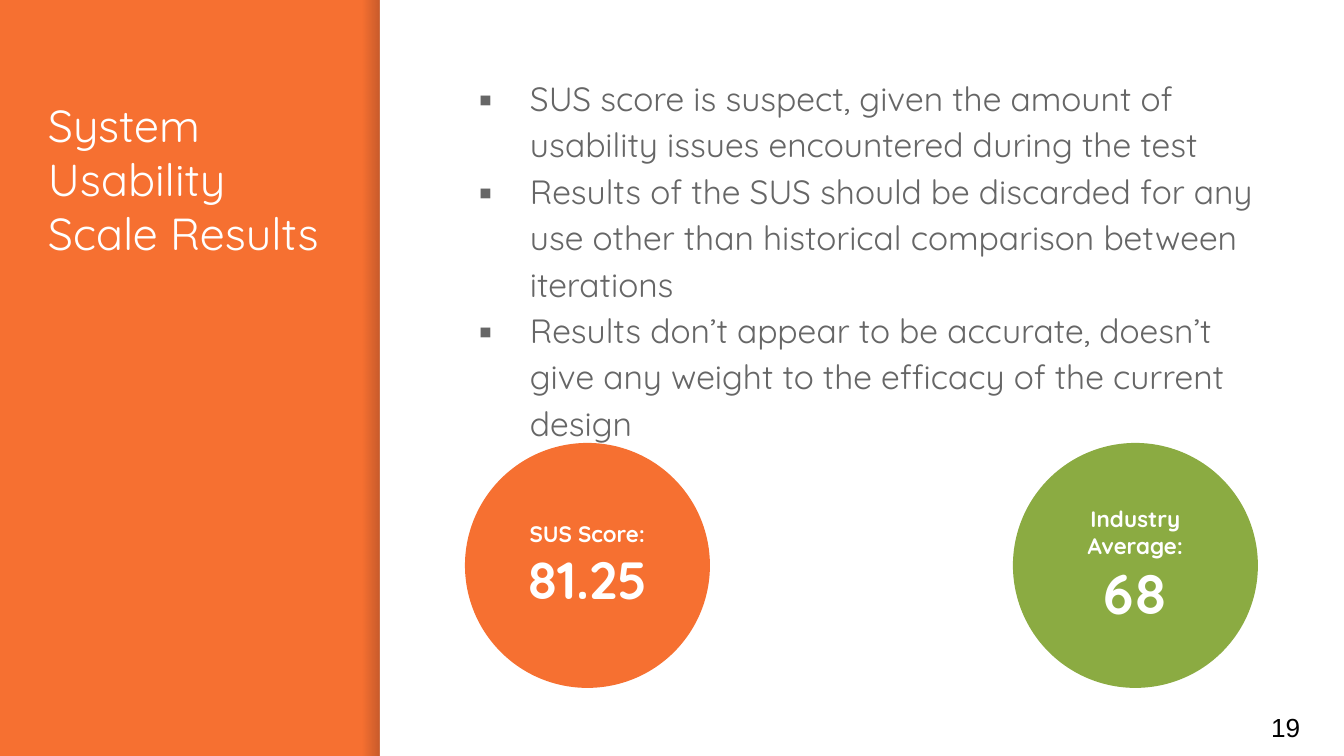
import pptx
import pptx.util
from lxml import etree
from pptx.dml.color import RGBColor
from pptx.enum.shapes import MSO_SHAPE
from pptx.enum.text import MSO_ANCHOR, MSO_AUTO_SIZE, PP_ALIGN
from pptx.oxml.ns import qn

PX = 914400 / 134.4
WIDTH, HEIGHT = 1344, 756
PANEL_LEFT, SHADOW_WIDTH = 380, 17
INSET = 13
CIRCLE_TOP, CIRCLE_SIZE = 443, 245

ORANGE = RGBColor(0xF6, 0x70, 0x31)
GREEN = RGBColor(0x8B, 0xAB, 0x42)
GREY = RGBColor(0x66, 0x66, 0x66)
WHITE = RGBColor(0xFF, 0xFF, 0xFF)
BLACK = RGBColor(0x00, 0x00, 0x00)
SHADE = RGBColor(0x00, 0x00, 0x14)
FONT = "Quicksand"

BULLETS = [
    "SUS score is suspect, given the amount of usability issues encountered "
    "during the test",
    "Results of the SUS should be discarded for any use other than historical "
    "comparison between iterations",
    "Results don’t appear to be accurate, doesn’t give any weight to the "
    "efficacy of the current design",
]
CIRCLES = [
    (1013, GREEN, "Industry Average:", "68", 30),
    (465, ORANGE, "SUS Score:", "81.25", 28),
]


def px(*values):
    return [pptx.util.Emu(round(v * PX)) for v in values]


def add_run(p, text, size, color, font=FONT, bold=None):
    r = p.add_run()
    r.text = text
    r.font.size = pptx.util.Pt(size)
    r.font.name = font
    r.font.bold = bold
    r.font.color.rgb = color


def set_frame(shape, anchor=MSO_ANCHOR.TOP):
    """Give the text frame wrapping, equal insets and an anchor."""
    tf = shape.text_frame
    tf.word_wrap = True
    tf.auto_size = MSO_AUTO_SIZE.NONE
    tf.vertical_anchor = anchor
    inset, = px(INSET)
    tf.margin_left = tf.margin_right = inset
    tf.margin_top = tf.margin_bottom = inset
    return tf


def add_plain_shape(s, kind, box, color=None):
    sp = s.shapes.add_shape(kind, *px(*box))
    sp.shadow.inherit = False
    sp.line.fill.background()
    if color is not None:
        sp.fill.solid()
        sp.fill.fore_color.rgb = color
    return sp


def add_edge_shadow(s):
    """Shade the edge of the side bar, fading out to the left."""
    box = (PANEL_LEFT - SHADOW_WIDTH, 0, SHADOW_WIDTH, HEIGHT)
    sp = add_plain_shape(s, MSO_SHAPE.RECTANGLE, box)
    sp.fill.gradient()
    sp.fill.gradient_angle = 0
    for stop, position in zip(sp.fill.gradient_stops, (0, 1)):
        stop.position = position
        stop.color.rgb = SHADE
    colors = sp.fill._xPr.iter(qn("a:srgbClr"))
    for color, alpha in zip(colors, (0, 20000)):
        etree.SubElement(color, qn("a:alpha")).set("val", str(alpha))


def set_title(s, text):
    title = s.shapes.title
    title.left, title.top, title.width, title.height = px(35, 85, 301, 585)
    p = set_frame(title).paragraphs[0]
    p.alignment = PP_ALIGN.LEFT
    add_run(p, text, 24, WHITE)


def set_bullet(p):
    pPr = p._p.get_or_add_pPr()
    left, hanging = px(67, 51)
    pPr.set("marL", str(left))
    pPr.set("indent", str(-hanging))
    color = etree.SubElement(pPr, qn("a:buClr"))
    etree.SubElement(color, qn("a:srgbClr")).set("val", str(GREY))
    etree.SubElement(pPr, qn("a:buFont")).set("typeface", FONT)
    etree.SubElement(pPr, qn("a:buChar")).set("char", "▪")


def add_bullets(s, texts):
    tf = set_frame(s.shapes.add_textbox(*px(450, 59, 823, 375)))
    for i, text in enumerate(texts):
        p = tf.add_paragraph() if i else tf.paragraphs[0]
        set_bullet(p)
        p.line_spacing = 1.15
        add_run(p, text, 18, GREY)


def add_score_circle(s, left, color, label, score, score_size):
    box = (left, CIRCLE_TOP, CIRCLE_SIZE, CIRCLE_SIZE)
    sp = add_plain_shape(s, MSO_SHAPE.OVAL, box, color)
    tf = set_frame(sp, MSO_ANCHOR.MIDDLE)
    for p, text, size in ((tf.paragraphs[0], label, 12),
                          (tf.add_paragraph(), score, score_size)):
        p.alignment = PP_ALIGN.CENTER
        add_run(p, text, size, WHITE, bold=True)


def add_page_number(s, number):
    box = s.shapes.add_textbox(*px(1258, 698, 81, 58))
    tf = set_frame(box, MSO_ANCHOR.MIDDLE)
    add_run(tf.paragraphs[0], number, 14, BLACK, font="Arial")


def main():
    prs = pptx.Presentation()
    prs.slide_width, prs.slide_height = px(WIDTH, HEIGHT)
    s = prs.slides.add_slide(prs.slide_layouts[5])
    s.background.fill.solid()
    s.background.fill.fore_color.rgb = ORANGE

    add_edge_shadow(s)
    panel = (PANEL_LEFT, 0, WIDTH - PANEL_LEFT, HEIGHT)
    add_plain_shape(s, MSO_SHAPE.RECTANGLE, panel, WHITE)
    add_page_number(s, "19")
    set_title(s, "System Usability Scale Results")
    add_bullets(s, BULLETS)
    for circle in CIRCLES:
        add_score_circle(s, *circle)
    prs.save("out.pptx")


if __name__ == "__main__":
    main()
